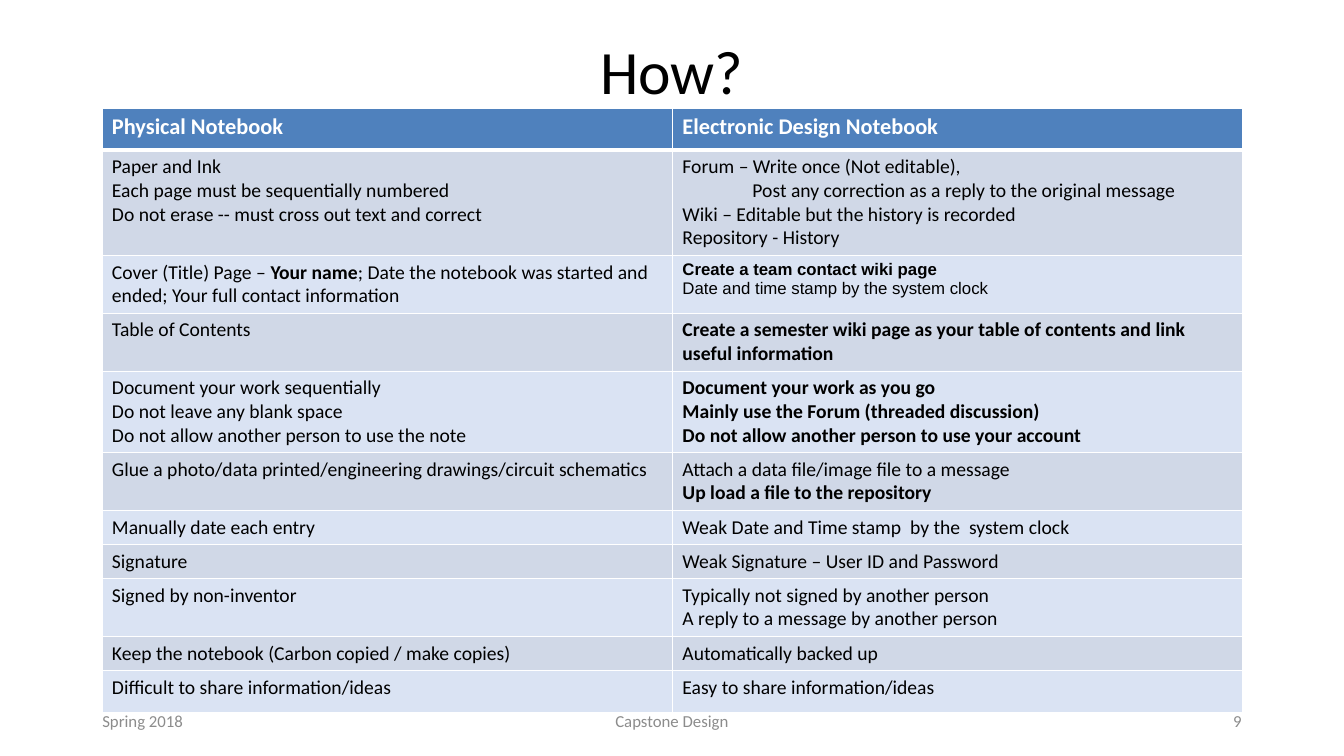
from lxml.etree import SubElement
from pptx import Presentation
from pptx.dml.color import RGBColor
from pptx.enum.text import MSO_ANCHOR, PP_ALIGN
from pptx.oxml import parse_xml
from pptx.oxml.ns import nsdecls, qn
from pptx.util import Pt

WHITE, BLACK, GREY = "FFFFFF", "000000", "8C8C8C"
HEADER_BLUE, BAND_DARK, BAND_LIGHT = "4F81BD", "D0D8E7", "DAE3F3"
BOLD_MARK, INDENT_MARK = "**", ">"
CORRECTION_INDENT = 50
THIN, THICK = 0.96, 3

HEADINGS = ("Physical Notebook", "Electronic Design Notebook")
HEADING_HEIGHT = 29.5
PRACTICES = [
    (75.5,
     ["Paper and Ink", "Each page must be sequentially numbered",
      "Do not erase -- must cross out text and correct"],
     ["Forum – Write once (Not editable),",
      ">Post any correction as a reply to the original message",
      "Wiki – Editable but the history is recorded", "Repository - History"]),
    (41.4,
     ["Cover (Title) Page – **Your name**; Date the notebook was started and ended; "
      "Your full contact information"],
     ["**Create a team contact wiki page\n**Date and time stamp by the system clock"]),
    (41.4,
     ["Table of Contents"],
     ["**Create a semester wiki page as your table of contents and link useful information**"]),
    (58,
     ["Document your work sequentially", "Do not leave any blank space",
      "Do not allow another person to use the note"],
     ["**Document your work as you go**", "**Mainly use the Forum (threaded discussion)**",
      "**Do not allow another person to use your account**"]),
    (41.4,
     ["Glue a photo/data printed/engineering drawings/circuit schematics"],
     ["Attach a data file/image file to a message", "**Up load a file to the repository**"]),
    (24.3, ["Manually date each entry"], ["Weak Date and Time stamp  by the  system clock"]),
    (24.3, ["Signature"], ["Weak Signature – User ID and Password"]),
    (41.4,
     ["Signed by non-inventor"],
     ["Typically not signed by another person", "A reply to a message by another person"]),
    (24.3, ["Keep the notebook (Carbon copied / make copies)"], ["Automatically backed up"]),
    (30.5, ["Difficult to share information/ideas"], ["Easy to share information/ideas"]),
]
CONTACT_PAGE = (2, 1)


def color(hex_code):
    """Turn a hex string into a colour."""
    return RGBColor.from_string(hex_code)


def write_runs(paragraph, marked, size, ink, font="Calibri"):
    """Add the runs of a marked text, where every second part is bold."""
    for position, part in enumerate(marked.split(BOLD_MARK)):
        for line_number, line in enumerate(part.split("\n")):
            if line_number:
                paragraph.add_line_break()
            if line:
                run = paragraph.add_run()
                run.text = line
                run.font.name = font
                run.font.size = Pt(size)
                run.font.bold = position % 2 == 1
                run.font.color.rgb = color(ink)


def add_label(slide, box, wording, size, ink, align, spacing=1.0):
    """Place one line of text, centred vertically in its box."""
    frame = slide.shapes.add_textbox(*map(Pt, box)).text_frame
    frame.word_wrap = True
    frame.vertical_anchor = MSO_ANCHOR.MIDDLE
    paragraph = frame.paragraphs[0]
    paragraph.alignment = align
    paragraph.line_spacing = spacing
    write_runs(paragraph, wording, size, ink)


def set_borders(cell, top, bottom):
    """Draw white borders around a cell with the given top and bottom widths."""
    properties = cell._tc.get_or_add_tcPr()
    widths = (("lnL", THIN), ("lnR", THIN), ("lnT", top), ("lnB", bottom))
    for place, (side, width) in enumerate(widths):
        border = parse_xml(f'<a:{side} {nsdecls("a")} w="{Pt(width)}"/>')
        fill = SubElement(border, qn("a:solidFill"))
        SubElement(fill, qn("a:srgbClr"), val=WHITE)
        properties.insert(place, border)


def fill_cell(cell, paragraphs, fill, size, ink, font="Calibri"):
    """Fill a cell with its colour and paragraphs."""
    cell.fill.solid()
    cell.fill.fore_color.rgb = color(fill)
    frame = cell.text_frame
    for number, marked in enumerate(paragraphs):
        paragraph = frame.add_paragraph() if number else frame.paragraphs[0]
        if marked.startswith(INDENT_MARK):
            paragraph._p.get_or_add_pPr().set("marL", str(Pt(CORRECTION_INDENT)))
        write_runs(paragraph, marked.removeprefix(INDENT_MARK), size, ink, font)


def add_comparison(slide, left, top, width):
    """Build the table that compares the two kinds of notebook."""
    heights = [HEADING_HEIGHT] + [height for height, *_ in PRACTICES]
    table = slide.shapes.add_table(
        len(heights), len(HEADINGS), Pt(left), Pt(top), Pt(width), Pt(sum(heights))).table
    for column in table.columns:
        column.width = Pt(width / len(HEADINGS))
    for row, height in zip(table.rows, heights):
        row.height = Pt(height)
    for column, heading in enumerate(HEADINGS):
        cell = table.cell(0, column)
        fill_cell(cell, [BOLD_MARK + heading], HEADER_BLUE, 16, WHITE)
        set_borders(cell, THIN, THICK)
    for row, (_, *sides) in enumerate(PRACTICES, 1):
        band = BAND_DARK if row % 2 else BAND_LIGHT
        for column, paragraphs in enumerate(sides):
            cell = table.cell(row, column)
            size, font = (12, "Arial") if (row, column) == CONTACT_PAGE else (14, "Calibri")
            fill_cell(cell, paragraphs, band, size, BLACK, font)
            set_borders(cell, THICK if row == 1 else THIN, THIN)


def add_footer(slide, left, top, width, height):
    """Place the term, the course and the page number along the bottom."""
    side, middle = 216, 324
    parts = (
        (left, side, "Spring 2018", PP_ALIGN.LEFT),
        (left + (width - middle) / 2, middle, "Capstone Design", PP_ALIGN.CENTER),
        (left + width - side, side, "9", PP_ALIGN.RIGHT),
    )
    for start, extent, wording, align in parts:
        add_label(slide, (start, top, extent, height), wording, 12, GREY, align)


def main():
    """Build the slide and save it."""
    presentation = Presentation()
    presentation.slide_width, presentation.slide_height = Pt(960), Pt(540)
    slide = presentation.slides.add_slide(presentation.slide_layouts[6])
    add_label(slide, (66, 1, 828, 104), "How?", 44, BLACK, PP_ALIGN.CENTER, 0.9)
    add_footer(slide, 66, 500.5, 828, 28.8)
    add_comparison(slide, 72.8, 77.4, 815)
    presentation.save("out.pptx")


if __name__ == "__main__":
    main()
